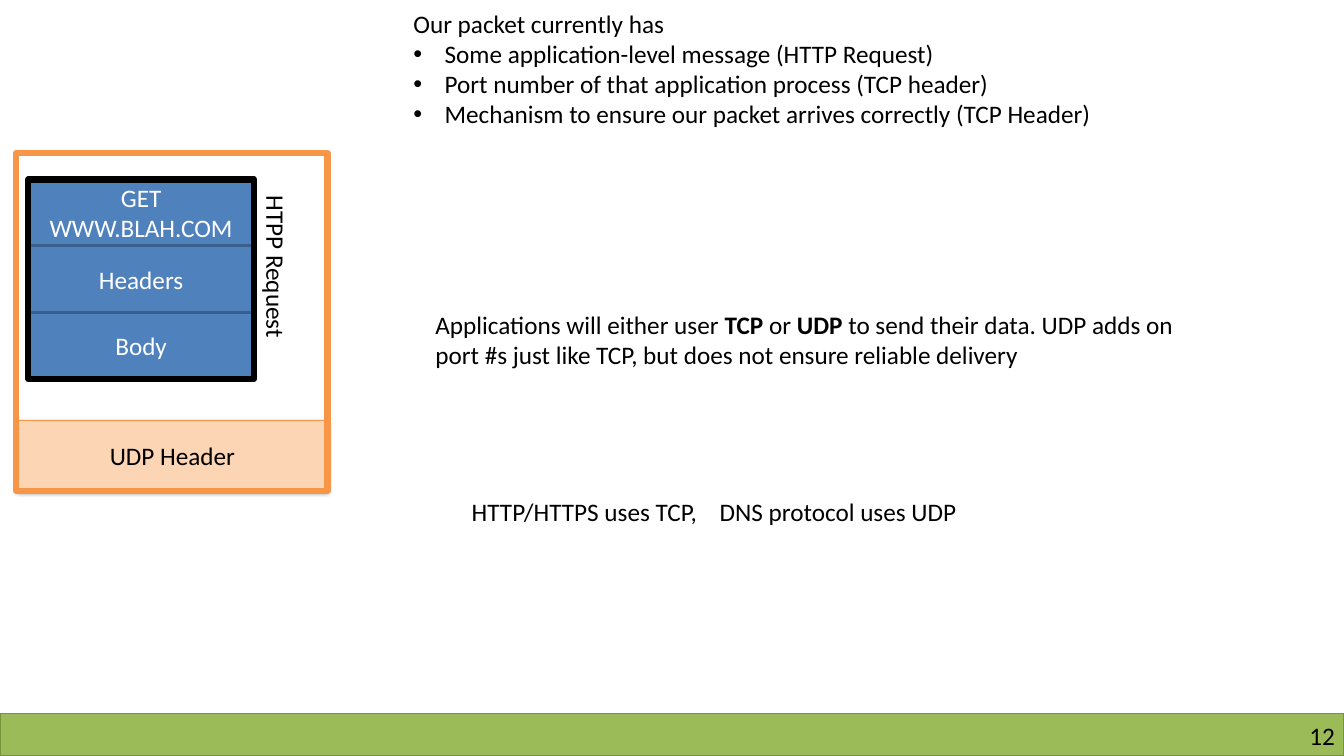
from dataclasses import dataclass

from lxml.etree import SubElement
from pptx import Presentation
from pptx.dml.color import RGBColor
from pptx.enum.shapes import MSO_SHAPE
from pptx.enum.text import MSO_ANCHOR, MSO_AUTO_SIZE, PP_ALIGN
from pptx.oxml.ns import qn
from pptx.util import Inches, Pt


@dataclass(frozen=True)
class Theme:
    font: str = "Calibri"
    size: float = 18
    black: str = "000000"
    white: str = "FFFFFF"
    blue: str = "4F81BD"
    blue_edge: str = "3A5F8C"
    orange: str = "F79646"
    peach: str = "FCD5B5"
    green: str = "9BBB59"
    green_edge: str = "77933C"


theme = Theme()


def add_box(bounds, fill, edge, weight, label="", color=theme.black):
    box = slide.shapes.add_shape(MSO_SHAPE.RECTANGLE, *map(Inches, bounds))
    box.shadow.inherit = False
    if fill:
        box.fill.solid()
        box.fill.fore_color.rgb = RGBColor.from_string(fill)
    else:
        box.fill.background()
    box.line.color.rgb = RGBColor.from_string(edge)
    box.line.width = Pt(weight)
    if label:
        box.text_frame.text = label
        format_text(box.text_frame, color, PP_ALIGN.CENTER, MSO_ANCHOR.MIDDLE)
    return box


def format_text(frame, color=theme.black, align=PP_ALIGN.LEFT, anchor=MSO_ANCHOR.TOP):
    frame.word_wrap = True
    frame.auto_size = MSO_AUTO_SIZE.NONE
    frame.vertical_anchor = anchor
    for paragraph in frame.paragraphs:
        paragraph.alignment = align
        paragraph.space_before = Pt(0)
        for run in paragraph.runs:
            run.font.name = theme.font
            run.font.size = Pt(theme.size)
            run.font.color.rgb = RGBColor.from_string(color)


prs = Presentation()
prs.slide_width, prs.slide_height = Inches(13.33), Inches(7.5)
slide = prs.slides.add_slide(prs.slide_layouts[1])
title = slide.shapes.title.element
title.getparent().remove(title)

# Footer
add_box((0, 7.08, 13.33, 0.42), theme.green, theme.green_edge, 1)
page_number = slide.shapes.add_textbox(
    Inches(10.17), Inches(7.15), Inches(3.07), Inches(0.3)).text_frame
page_number.margin_left = page_number.margin_right = 0
page_number.margin_top = page_number.margin_bottom = 0
page_number.text = "12"
format_text(page_number, align=PP_ALIGN.RIGHT)

# HTTP request inside the packet
left, top, width, row_height = 0.28, 1.78, 2.24, 0.66
request_parts = ["GET WWW.BLAH.COM", "Headers", "Body"]
for row, part in enumerate(request_parts):
    add_box((left, top + row * row_height, width, row_height),
            theme.blue, theme.blue_edge, 2, part, theme.white)
add_box((left, top, width, row_height * len(request_parts)), None, theme.black, 4.5)

request_label = slide.shapes.add_textbox(
    Inches(1.8), Inches(2.58), Inches(1.88), Inches(0.4))
request_label.rotation = 90
request_label.text_frame.text = "HTPP Request"
format_text(request_label.text_frame)

# UDP header and the packet frame around everything
udp_header = add_box((0.17, 4.17, 3.08, 0.7), theme.peach, theme.orange, 0.75, "UDP Header")
effects = udp_header.element.spPr.find(qn("a:effectLst"))
shadow = SubElement(effects, qn("a:outerShdw"), blurRad=str(Pt(3.1)),
                    dist=str(Pt(1.6)), dir="5400000", rotWithShape="0")
shadow_color = SubElement(shadow, qn("a:srgbClr"), val=theme.black)
SubElement(shadow_color, qn("a:alpha"), val="38000")
add_box((0.16, 1.52, 3.09, 3.35), None, theme.orange, 4.5)

# What the packet has so far
summary = slide.placeholders[1]
summary.left, summary.top = Inches(4), Inches(0.03)
summary.width, summary.height = Inches(7.67), Inches(1.31)
summary.text_frame.text = "\n".join([
    "Our packet currently has",
    "Some application-level message (HTTP Request)",
    "Port number of that application process (TCP header)",
    "Mechanism to ensure our packet arrives correctly (TCP Header)",
])
format_text(summary.text_frame)
lead, *points = summary.text_frame.paragraphs
lead_properties = lead._p.get_or_add_pPr()
lead_properties.set("marL", "0")
lead_properties.set("indent", "0")
SubElement(lead_properties, qn("a:buNone"))
for point in points:
    properties = point._p.get_or_add_pPr()
    properties.set("marL", str(Inches(0.31)))
    properties.set("indent", str(-Inches(0.31)))
    SubElement(properties, qn("a:buFont"), typeface="Arial")
    SubElement(properties, qn("a:buChar"), char="•")

# TCP or UDP
comparison = slide.shapes.add_textbox(
    Inches(4.22), Inches(3.02), Inches(7.59), Inches(0.71)).text_frame
for words in [
    "Applications will either user ", "TCP", " or ", "UDP",
    " to send their data. UDP adds on port #s just like TCP, "
    "but does not ensure reliable delivery",
]:
    run = comparison.paragraphs[0].add_run()
    run.text = words
    run.font.bold = words in ("TCP", "UDP")
format_text(comparison)

protocols = slide.shapes.add_textbox(
    Inches(4.58), Inches(4.87), Inches(5.99), Inches(0.4)).text_frame
protocols.text = "HTTP/HTTPS uses TCP,\tDNS protocol uses UDP"
format_text(protocols)
tabs = SubElement(protocols.paragraphs[0]._p.get_or_add_pPr(), qn("a:tabLst"))
SubElement(tabs, qn("a:tab"), pos=str(Inches(2.46)), algn="l")

prs.save("out.pptx")
